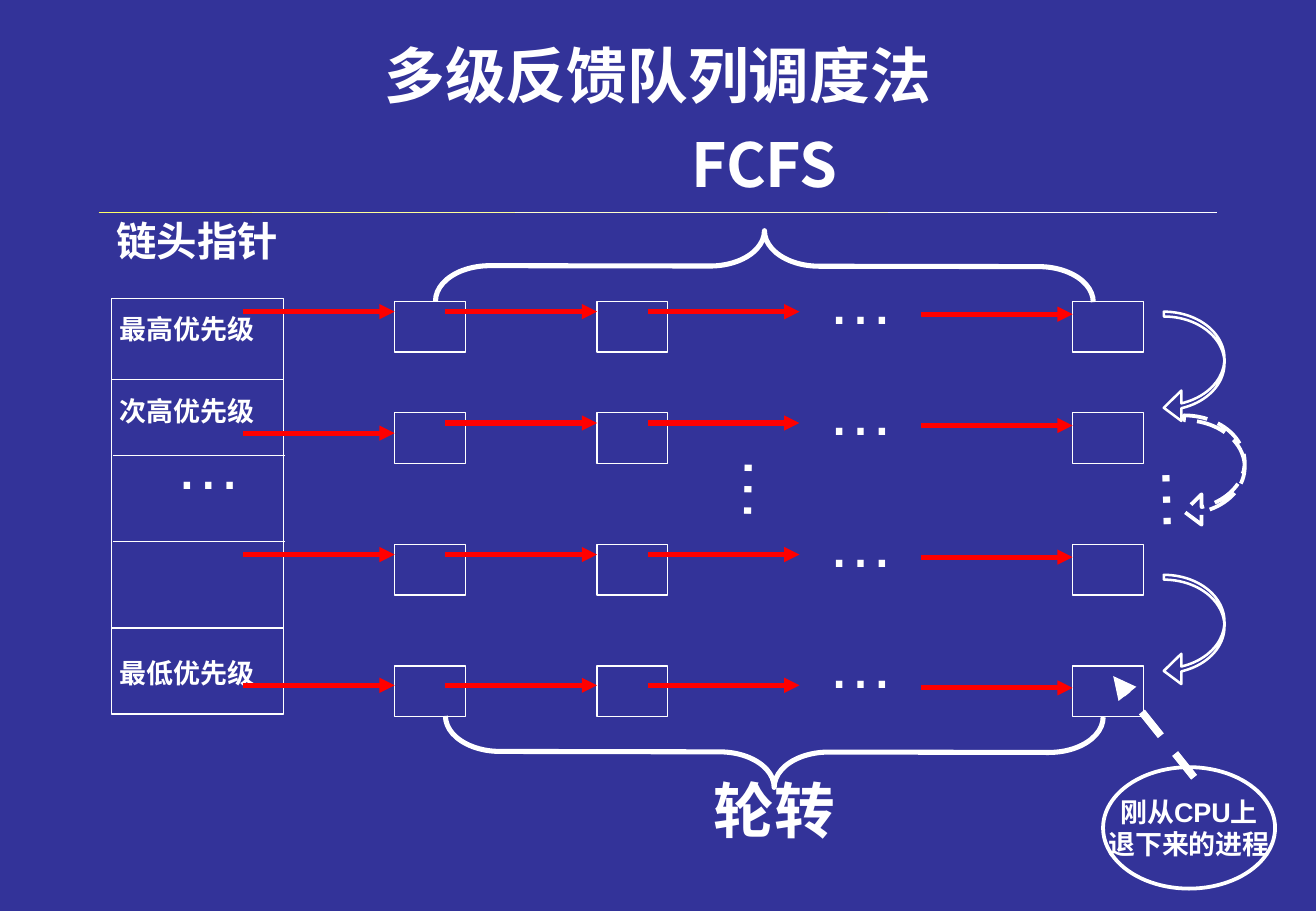
"""Builds the slide on multilevel feedback queue scheduling."""
import pptx
import pptx.dml.color
import pptx.enum.dml
import pptx.enum.shapes
import pptx.enum.text
import pptx.oxml.ns
import pptx.util
from lxml import etree

Pt = pptx.util.Pt
RGBColor = pptx.dml.color.RGBColor
SHAPES = pptx.enum.shapes.MSO_SHAPE
DASHES = pptx.enum.dml.MSO_LINE
ANCHORS = pptx.enum.text.MSO_ANCHOR
qn = pptx.oxml.ns.qn

BLUE = RGBColor(0x33, 0x33, 0x99)
WHITE = RGBColor(0xFF, 0xFF, 0xFF)
RED = RGBColor(0xFF, 0x00, 0x00)
CREAM = RGBColor(0xFF, 0xFF, 0xCC)
PALE_YELLOW = RGBColor(0xFF, 0xFF, 0x99)
YELLOW = RGBColor(0xFF, 0xFF, 0x66)
CJK_FONT = "Noto Sans CJK SC"

deck = pptx.Presentation()
deck.slide_width, deck.slide_height = Pt(780.25), Pt(540)
page = deck.slides.add_slide(deck.slide_layouts[5])
page.background.fill.solid()
page.background.fill.fore_color.rgb = BLUE


def write(frame, words, size, font="Arial", bold=True, before=0):
    frame.text = words
    for para in frame.paragraphs:
        para.alignment = pptx.enum.text.PP_ALIGN.CENTER
        para.space_before = Pt(before)
        for span in para.runs:
            span.font.name = font
            span.font.size = Pt(size)
            span.font.bold = bold
            span.font.color.rgb = WHITE
            if words != "…":
                east_asian = etree.SubElement(span.font._element, qn("a:ea"))
                east_asian.set("typeface", CJK_FONT)


def draw_line(start, end, color=WHITE, width=0.75, arrow=False):
    line = page.shapes.add_connector(
        pptx.enum.shapes.MSO_CONNECTOR.STRAIGHT, *map(Pt, start + end))
    line.line.color.rgb = color
    line.line.width = Pt(width)
    if arrow:
        tail = etree.SubElement(line.line._get_or_add_ln(), qn("a:tailEnd"))
        tail.set("type", "triangle")
    etree.SubElement(line._element.spPr, qn("a:effectLst"))
    return line


rule_segments = [
    (682.5, 721.5, WHITE), (604.5, 682.5, WHITE), (526.5, 604.5, WHITE),
    (448.5, 526.5, CREAM), (370.5, 448.5, CREAM), (292.5, 370.5, CREAM),
    (240.5, 305.5, PALE_YELLOW), (201.5, 266.5, PALE_YELLOW),
    (162.5, 227.5, PALE_YELLOW), (123.5, 188.5, PALE_YELLOW),
    (84.5, 149.5, YELLOW), (58.5, 110.5, YELLOW),
]
for left, right, color in rule_segments:
    draw_line((left, 126), (right, 126), color)

title = page.shapes.title
title.left, title.top, title.width, title.height = map(Pt, (58.5, 11.25, 663, 66))
title.text_frame.vertical_anchor = ANCHORS.MIDDLE
write(title.text_frame, "多级反馈队列调度法", 36, CJK_FONT)

for left, y in ((66, 224.75), (67, 270), (67, 321), (66, 372.25)):
    draw_line((left, y), (left + 102, y))

outlines = [(SHAPES.RECTANGLE, (66, 177, 102, 246.25), 0.75, 0, ())]
queue_rows = [(178.75, 184.75, 184.75), (244.75, 256.75, 250.75),
              (322.75, 328.75, 328.75), (394.75, 406.25, 406.25)]
labels = [
    ("最高优先级", (60, 181.5, 102, 26.5), 16, "Arial", 10, 0),
    ("次高优先级", (60, 230.5, 102, 26.5), 16, "Arial", 10, 0),
    ("最低优先级", (60, 385.5, 102, 26.5), 16, "Arial", 10, 0),
    ("链头指针", (60, 124.5, 114, 36), 24, "Arial", 15, 0),
    ("FCFS", (390.25, 71.5, 126, 50.5), 36, CJK_FONT, 22.5, 0),
    ("轮转", (408.25, 454.5, 102, 50.5), 36, "Arial", 22.5, 0),
    ("…", (96.5, 246.5, 54, 55.5), 40, "Arial", 0, 0),
    ("…", (402.75, 262.25, 54.5, 55.5), 40, "Arial", 0, 270.8),
    ("…", (678.5, 268.25, 54.5, 55.5), 40, "Arial", 0, 88.4),
]
for box_top, head_y, chain_y in queue_rows:
    for left in (234, 354, 636):
        outlines.append((SHAPES.RECTANGLE, (left, box_top, 42, 30), 0.75, 0, ()))
    labels.append(("…", (462.25, box_top - 30, 96, 55.5), 40, "Arial", 25, 0))

bent_arrow = (0.08, 0.5, 0.29)
brace = (0.77, 0.5)
outlines += [
    (SHAPES.CURVED_LEFT_ARROW, (690, 184.75, 36, 66), 1.5, 0, bent_arrow),
    (SHAPES.CURVED_LEFT_ARROW, (690, 340.75, 36, 66), 1.5, 0, bent_arrow),
    (SHAPES.RIGHT_BRACE, (432.25, -37.25, 42, 390), 3, 270.1, brace),
    (SHAPES.RIGHT_BRACE, (438, 250.75, 42, 390), 3, 90.1, brace),
    (SHAPES.CURVED_LEFT_ARROW, (702, 246.25, 36, 66), 2.25, 0, bent_arrow),
    (SHAPES.OVAL, (654, 454.75, 102, 72), 2.25, 0, ()),
]
for kind, place, width, turn, adjustments in outlines:
    outline = page.shapes.add_shape(kind, *map(Pt, place))
    outline.shadow.inherit = False
    outline.fill.background()
    outline.line.color.rgb = WHITE
    outline.line.width = Pt(width)
    outline.rotation = turn
    for index, value in enumerate(adjustments):
        outline.adjustments[index] = value
    if kind == SHAPES.CURVED_LEFT_ARROW and width == 2.25:
        outline.line.dash_style = DASHES.LONG_DASH
    if kind == SHAPES.OVAL:
        outline.text_frame.word_wrap = False
        outline.text_frame.vertical_anchor = ANCHORS.MIDDLE
        write(outline.text_frame, "刚从CPU上\n退下来的进程", 16)

for words, place, size, font, before, turn in labels:
    label = page.shapes.add_textbox(*map(Pt, place))
    label.rotation = turn
    label.text_frame.word_wrap = True
    label.text_frame.auto_size = pptx.enum.text.MSO_AUTO_SIZE.SHAPE_TO_FIT_TEXT
    write(label.text_frame, words, size, font, words != "…", before)

for box_top, head_y, chain_y in queue_rows:
    for left, y in ((144, head_y), (264, chain_y), (384, chain_y), (546, chain_y + 1.5)):
        draw_line((left, y), (left + 90, y), RED, 3, arrow=True)

return_arrow = draw_line((708, 460.75), (660, 400.75), WHITE, 4.5, arrow=True)
return_arrow.line.dash_style = DASHES.DASH

deck.save("out.pptx")
